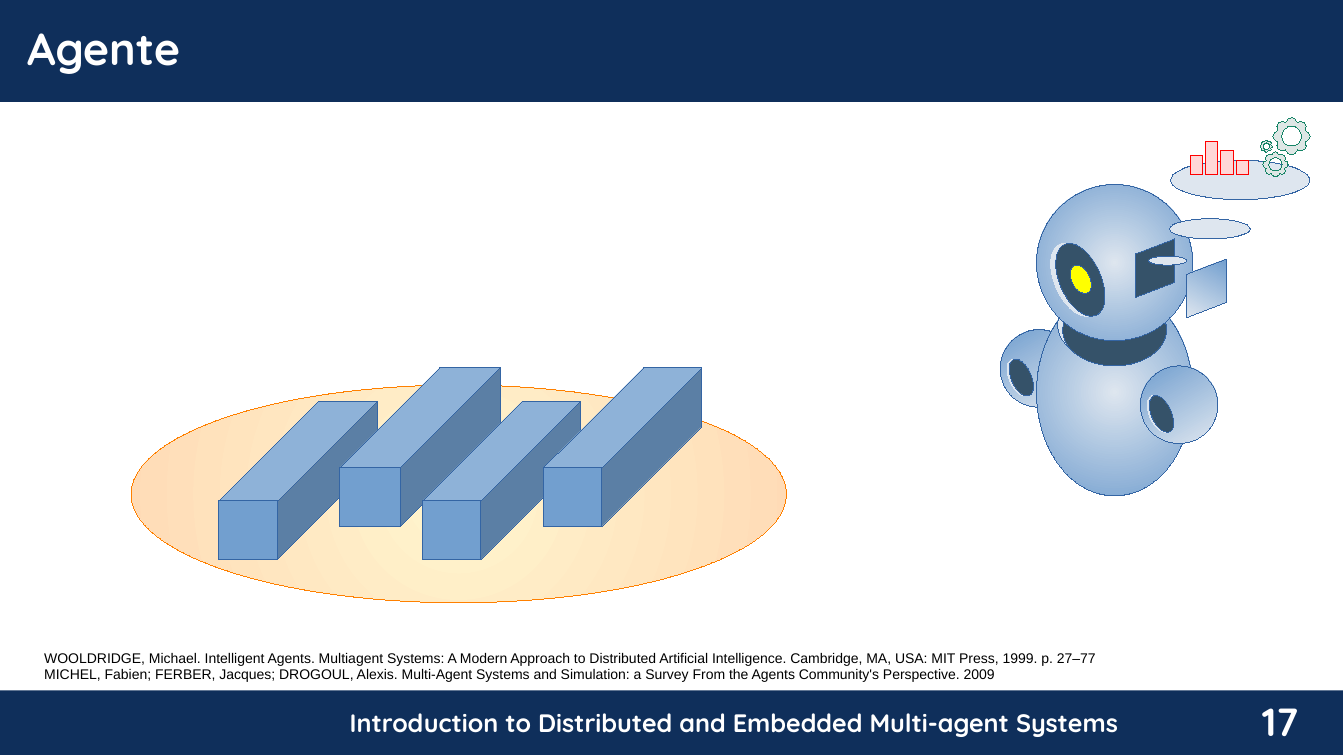
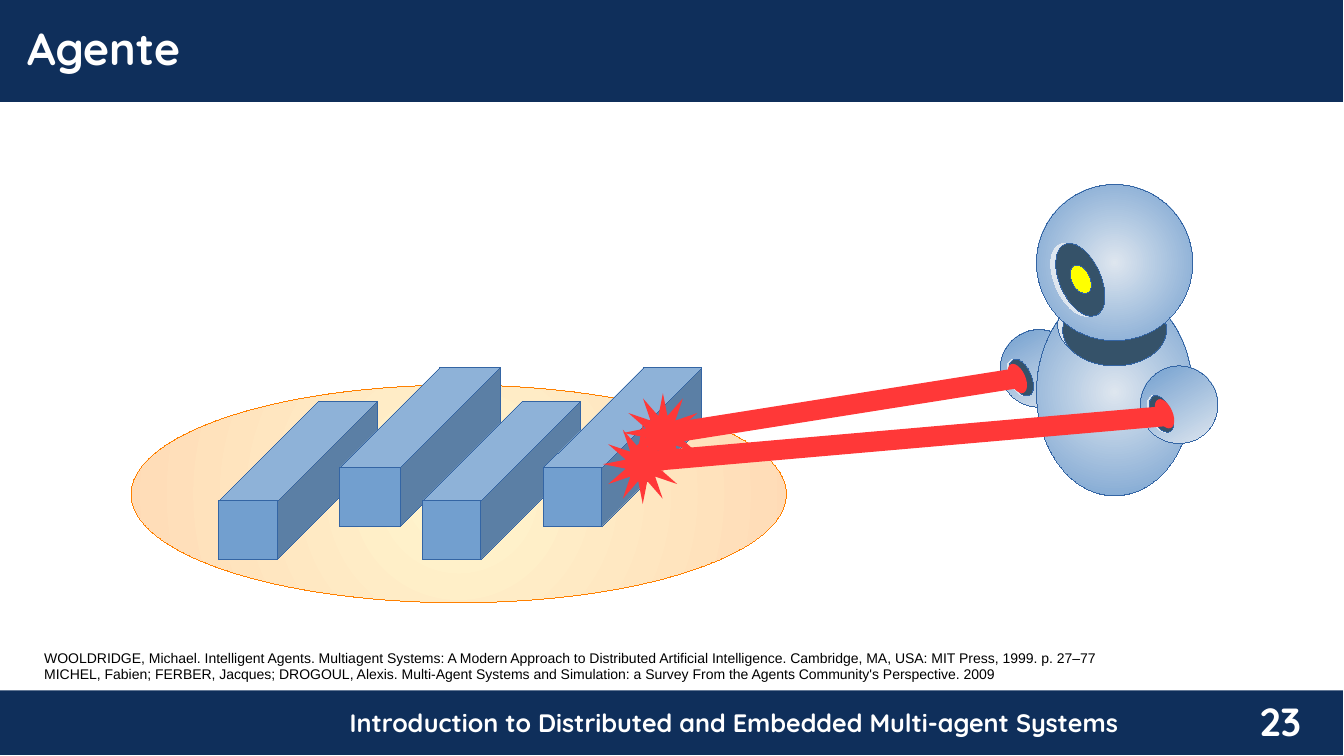
from math import cos, sin, pi

from lxml import etree
from pptx import Presentation
from pptx.dml.color import RGBColor
from pptx.enum.shapes import MSO_SHAPE as Shape
from pptx.enum.text import MSO_AUTO_SIZE as AutoSize, PP_ALIGN as Align
from pptx.oxml.ns import qn
from pptx.util import Inches, Pt

NAVY, WHITE, BLACK = "0F2F5B", "FFFFFF", "000000"
BLUE, PALE, SLATE, EDGE = "729FCF", "DEE6EF", "355269", "3465A4"

TITLE = "Agente"
FOOTER = "Introduction to Distributed and Embedded Multi-agent Systems"
REFERENCES = [
    "WOOLDRIDGE, Michael. Intelligent Agents. Multiagent Systems: A Modern Approach to "
    "Distributed Artificial Intelligence. Cambridge, MA, USA: MIT Press, 1999. p. 27–77",
    "MICHEL, Fabien; FERBER, Jacques; DROGOUL, Alexis. Multi-Agent Systems and Simulation: "
    "a Survey From the Agents Community's Perspective. 2009",
]

HEADING = dict(name="Quicksand", size=Pt(32), bold=True)
FOOTING = dict(name="Quicksand", size=Pt(18), bold=True)
NUMBER = dict(name="Quicksand", size=Pt(28), bold=True)
CITATION = dict(name="Arial", size=Pt(10), bold=False)

STYLES = {
    "band": (NAVY, None),
    "metal": ((BLUE, PALE, 60), EDGE),
    "flap": ((BLUE, PALE, 120), EDGE),
    "globe": ((PALE, BLUE, None), EDGE),
    "shine": (PALE, PALE),
    "collar": (PALE, EDGE),
    "dark": (SLATE, EDGE),
    "pupil": ("FFFF00", EDGE),
    "floor": (("FFF5CE", "FFDBB6", None), "FF8000"),
    "block": (BLUE, EDGE),
    "bubble": (PALE, EDGE),
    "bar": ("FFD7D7", "FF0000"),
    "gear": ("DEE7E5", "158466"),
    "laser": ("FF3838", None),
}

BANDS = [(0, 6.85, 13.32, 0.64), (0, 0, 13.32, 1.01)]
FLOOR = (1.3, 3.82, 6.5, 2.16)
BLOCKS = [(2.17, 3.98, 1.57), (3.37, 3.65, 1.59), (4.19, 3.98, 1.57), (5.39, 3.65, 1.57)]
BLOCK_HEIGHT, BLOCK_DEPTH = 1.57, 0.63

ARM = [
    ("metal", (0, 0, 0.77, 0.77), 0),
    ("shine", (0.09, 0.28, 0.2, 0.39), 336),
    ("dark", (0.11, 0.28, 0.2, 0.39), 336),
]
LEFT_ARM, RIGHT_ARM = (9.92, 3.27), (11.31, 3.63)
BODY = [
    ("globe", (10.28, 2.86, 1.55, 2.06), 0),
    ("collar", (10.49, 2.86, 1.03, 0.72), 0),
    ("dark", (10.54, 2.91, 1.03, 0.72), 0),
    ("globe", (10.28, 1.83, 1.55, 1.55), 0),
    ("shine", (10.46, 2.39, 0.41, 0.77), 336),
    ("dark", (10.51, 2.39, 0.41, 0.77), 336),
]
PUPIL = [("pupil", (10.63, 2.62, 0.18, 0.3), 334)]

THOUGHT = (11.61, 1.59, 1.38, 0.39)
SMALL_THOUGHTS = [(11.6, 2.17, 0.8, 0.2), (11.39, 2.54, 0.38, 0.09)]
HATCH = [("dark", 11.26, 2.37), ("flap", 11.77, 2.57)]
HATCH_OUTLINE = [(0.39, 0.43), (0.39, 0), (0, 0.15), (0, 0.58)]
BAR_HEIGHTS = [0.19, 0.33, 0.24, 0.14]
BAR_LEFT, BAR_BASE, BAR_WIDTH, BAR_STEP = 11.81, 1.73, 0.12, 0.15
GEARS = [(12.65, 1.63, 0.125), (12.81, 1.35, 0.185), (12.56, 1.45, 0.06)]
VALLEY, HOLE = 0.8, 0.53

BEAMS = [((6.69, 3.92, 3.42, 0.2), 351), ((6.49, 4.25, 5.08, 0.2), 355)]
MUZZLES = [(10.01, 3.6, 0.16, 0.31), (11.47, 3.95, 0.16, 0.31)]
BURSTS = [(6.18, 3.9), (5.98, 4.21)]
BURST_SIZE, BURST_INNER = 0.79, 0.22


def rgb(value):
    return RGBColor.from_string(value)


def paint(shape, style):
    fill, edge = STYLES[style]
    shape.shadow.inherit = False
    if isinstance(fill, str):
        shape.fill.solid()
        shape.fill.fore_color.rgb = rgb(fill)
    else:
        *stops, angle = fill
        shape.fill.gradient()
        for stop, color in zip(shape.fill.gradient_stops, stops):
            stop.color.rgb = rgb(color)
        if angle is None:
            make_radial(shape)
        else:
            shape.fill.gradient_angle = 360 - angle
    if edge:
        shape.line.color.rgb = rgb(edge)
        shape._element.spPr.find(qn("a:ln")).set("w", "0")
    else:
        shape.line.fill.background()
    return shape


def make_radial(shape):
    gradient = shape._element.spPr.find(qn("a:gradFill"))
    gradient.remove(gradient.find(qn("a:lin")))
    circle = etree.SubElement(gradient, qn("a:path"), path="circle")
    sides = {side: "50000" for side in "ltrb"}
    etree.SubElement(circle, qn("a:fillToRect"), **sides)


def add_figure(page, kind, at, style, turn=0, adjust=None):
    shape = page.shapes.add_shape(kind, *map(Inches, at))
    shape.rotation = turn
    if adjust is not None:
        shape.adjustments[0] = adjust
    return paint(shape, style)


def add_outline(page, contours, style):
    first, *others = [[(Inches(x), Inches(y)) for x, y in points] for points in contours]
    builder = page.shapes.build_freeform(*first[0], scale=1.0)
    builder.add_line_segments(first[1:], close=True)
    for contour in others:
        builder.move_to(*contour[0])
        builder.add_line_segments(contour[1:], close=True)
    return paint(builder.convert_to_shape(), style)


def add_text(page, at, lines, look, color, align=Align.LEFT):
    box = page.shapes.add_textbox(*map(Inches, at))
    frame = box.text_frame
    frame.word_wrap = True
    frame.auto_size = AutoSize.SHAPE_TO_FIT_TEXT
    for index, line in enumerate(lines):
        para = frame.add_paragraph() if index else frame.paragraphs[0]
        para.alignment = align
        span = para.add_run()
        span.text = line
        for key, value in look.items():
            setattr(span.font, key, value)
        span.font.color.rgb = rgb(color)


def add_ovals(page, parts, origin=(0, 0)):
    for style, (left, top, width, height), turn in parts:
        at = (origin[0] + left, origin[1] + top, width, height)
        add_figure(page, Shape.OVAL, at, style, turn)


def ring(x, y, radius, count, direction=1):
    angles = [direction * 2 * pi * step / count for step in range(count)]
    return [(x + radius(a) * cos(a), y + radius(a) * sin(a)) for a in angles]


def add_gear(page, x, y, size):
    teeth = ring(x, y, lambda a: size * (VALLEY + (1 - VALLEY) * abs(cos(4 * a))), 32)
    hole = ring(x, y, lambda a: size * HOLE, 16, direction=-1)
    add_outline(page, [teeth, hole], "gear")


def draw_frame(page, number):
    for at in BANDS:
        add_figure(page, Shape.RECTANGLE, at, "band")
    add_text(page, (2.28, 6.97, 10, 0.4), [FOOTER], FOOTING, WHITE, Align.CENTER)
    add_text(page, (12.15, 6.87, 1.1, 0.63), [number], NUMBER, WHITE, Align.CENTER)
    add_text(page, (0.17, 0.16, 13.16, 0.63), [TITLE], HEADING, WHITE)
    add_text(page, (0.34, 6.39, 12.79, 0.43), REFERENCES, CITATION, BLACK)


def draw_scene(page):
    add_figure(page, Shape.OVAL, FLOOR, "floor")
    for left, top, width in BLOCKS:
        at = (left, top, width, BLOCK_HEIGHT)
        add_figure(page, Shape.CUBE, at, "block", adjust=BLOCK_DEPTH)
    add_ovals(page, ARM, LEFT_ARM)
    add_ovals(page, BODY)
    add_ovals(page, ARM, RIGHT_ARM)
    add_ovals(page, PUPIL)


def draw_thinking(page):
    add_figure(page, Shape.OVAL, THOUGHT, "bubble")
    for style, left, top in HATCH:
        outline = [(left + x, top + y) for x, y in HATCH_OUTLINE]
        add_outline(page, [outline], style)
    for index, height in enumerate(BAR_HEIGHTS):
        at = (BAR_LEFT + index * BAR_STEP, BAR_BASE - height, BAR_WIDTH, height)
        add_figure(page, Shape.RECTANGLE, at, "bar")
    for gear in GEARS:
        add_gear(page, *gear)
    for at in SMALL_THOUGHTS:
        add_figure(page, Shape.OVAL, at, "bubble")


def draw_acting(page):
    for at, turn in BEAMS:
        add_figure(page, Shape.RECTANGLE, at, "laser", turn)
    for at in MUZZLES:
        add_figure(page, Shape.OVAL, at, "laser", 336)
    for left, top in BURSTS:
        at = (left, top, BURST_SIZE, BURST_SIZE)
        add_figure(page, Shape.STAR_12_POINT, at, "laser", adjust=BURST_INNER)


PAGES = [("17", draw_thinking), ("23", draw_acting)]


def main():
    deck = Presentation()
    deck.slide_width, deck.slide_height = Inches(13.33), Inches(7.5)
    for number, draw_action in PAGES:
        page = deck.slides.add_slide(deck.slide_layouts[6])
        draw_frame(page, number)
        draw_scene(page)
        draw_action(page)
    deck.save("out.pptx")


if __name__ == "__main__":
    main()
